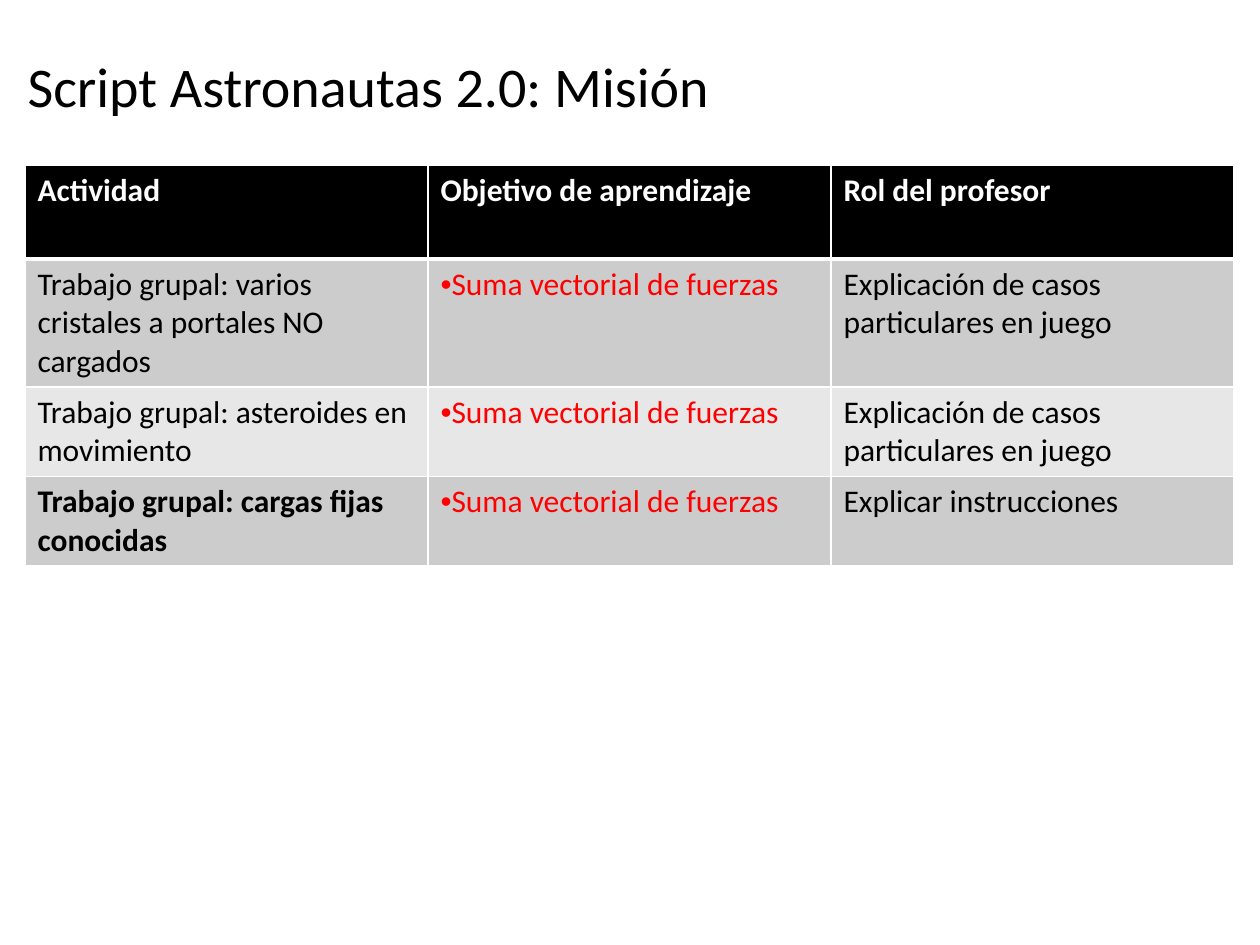
import lxml.etree
import pptx
import pptx.dml.color
import pptx.enum.text
import pptx.oxml.ns
import pptx.util

TITLE = "Script Astronautas 2.0: Misión"
HEADER = ("Actividad", "Objetivo de aprendizaje", "Rol del profesor")
GOAL = "Suma vectorial de fuerzas"
CASES = "Explicación de casos particulares en juego"
ACTIVITIES = [
    ("Trabajo grupal: varios cristales a portales NO cargados", GOAL, CASES),
    ("Trabajo grupal: asteroides en movimiento", GOAL, CASES),
    ("Trabajo grupal: cargas fijas conocidas", GOAL, "Explicar instrucciones"),
]
ROWS = [HEADER] + ACTIVITIES
ROW_HEIGHTS = (94, 128, 89, 89)
COLUMN_WIDTH = 403
BOLD_CELLS = {(3, 0)}
GOAL_COLUMN = 1
FONT = "Calibri"


def px(length):
    return pptx.util.Emu(round(length * 914400 / 126))


def color(value):
    return pptx.dml.color.RGBColor.from_string(value)


def add_child(parent, tag, **attributes):
    return lxml.etree.SubElement(parent, pptx.oxml.ns.qn(tag), **attributes)


def style_text(para, size, text_color, bold):
    for span in para.runs:
        span.font.name = FONT
        span.font.size = pptx.util.Pt(size)
        span.font.color.rgb = color(text_color)
        span.font.bold = bold


def add_borders(cell, widths):
    properties = cell._tc.get_or_add_tcPr()
    for side, width in zip("LRTB", widths):
        line = add_child(properties, "a:ln" + side, w=str(pptx.util.Pt(width)))
        add_child(add_child(line, "a:solidFill"), "a:srgbClr", val="FFFFFF")


def fill_cell(cell, text, row, column):
    header = row == 0
    goal = column == GOAL_COLUMN and not header
    add_borders(cell, (1, 1, 3 if row == 1 else 1, 3 if header else 1))
    cell.fill.solid()
    cell.fill.fore_color.rgb = color("000000" if header else "CCCCCC" if row % 2 else "E7E7E7")
    cell.text_frame.text = text
    para = cell.text_frame.paragraphs[0]
    text_color = "FFFFFF" if header else "FF0000" if goal else "000000"
    style_text(para, 18, text_color, header or (row, column) in BOLD_CELLS)
    if goal:
        properties = para._p.get_or_add_pPr()
        add_child(properties, "a:buFont", typeface="Arial")
        add_child(properties, "a:buChar", char="•")


def main():
    deck = pptx.Presentation()
    deck.slide_width, deck.slide_height = px(1260), px(945)
    page = deck.slides.add_slide(deck.slide_layouts[5])

    title = page.shapes.title
    title.left, title.top, title.width, title.height = map(px, (15, 6, 1134, 158))
    title.text_frame.text = TITLE
    title.text_frame.vertical_anchor = pptx.enum.text.MSO_ANCHOR.MIDDLE
    para = title.text_frame.paragraphs[0]
    para.alignment = pptx.enum.text.PP_ALIGN.LEFT
    style_text(para, 32, "000000", False)

    table = page.shapes.add_table(
        len(ROWS), len(HEADER), px(25), px(165),
        px(COLUMN_WIDTH * len(HEADER)), px(sum(ROW_HEIGHTS)),
    ).table
    for column in table.columns:
        column.width = px(COLUMN_WIDTH)
    for row, (texts, height) in enumerate(zip(ROWS, ROW_HEIGHTS)):
        table.rows[row].height = px(height)
        for column, text in enumerate(texts):
            fill_cell(table.cell(row, column), text, row, column)

    deck.save("out.pptx")


if __name__ == "__main__":
    main()
